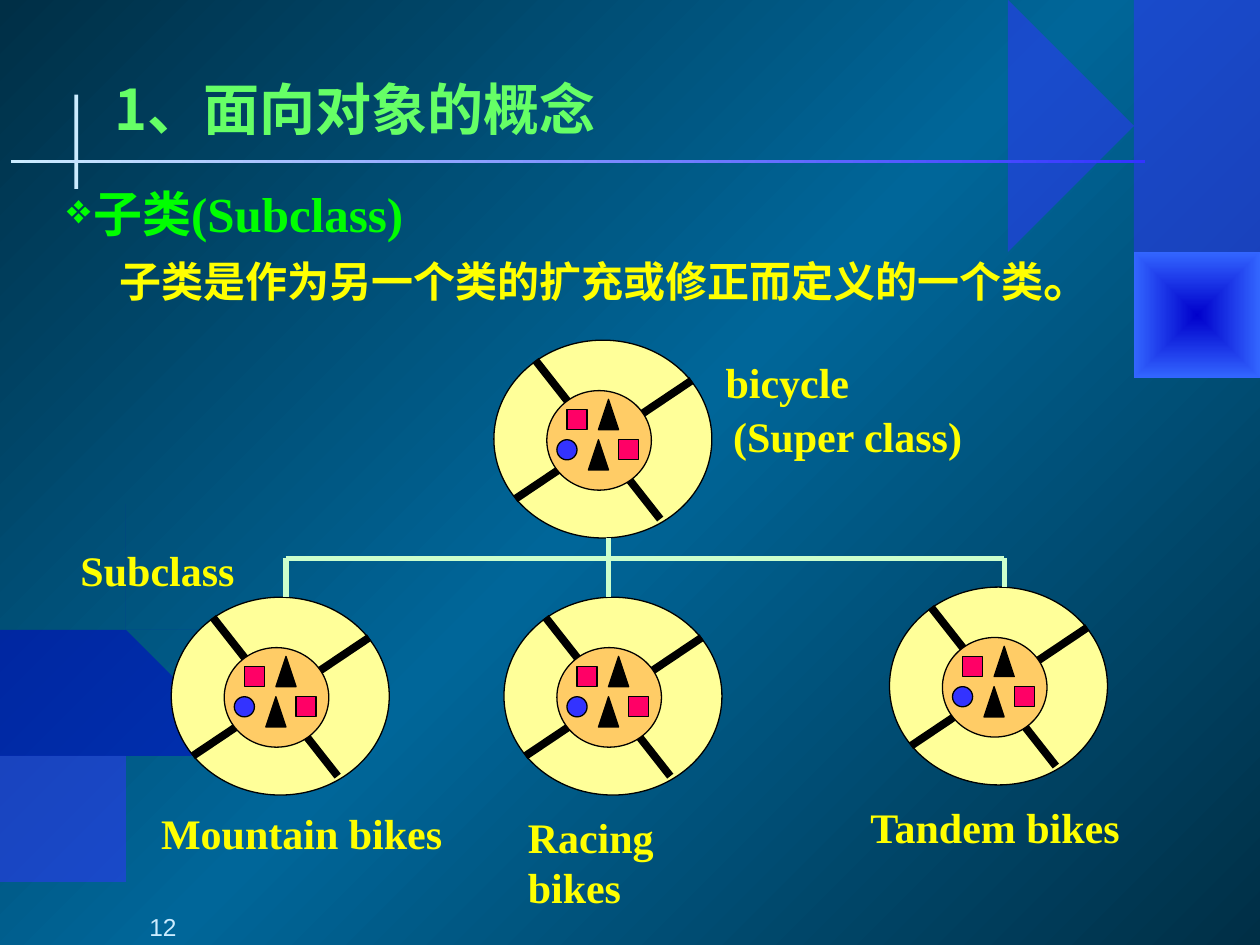
import pptx
import pptx.util
import pptx.oxml
import pptx.oxml.ns
import pptx.dml.color
import pptx.enum.shapes
import pptx.enum.text
from dataclasses import dataclass

Inches = pptx.util.Inches
Pt = pptx.util.Pt
RGB = pptx.dml.color.RGBColor.from_string
qn = pptx.oxml.ns.qn
SHAPE = pptx.enum.shapes.MSO_SHAPE
ALIGN = pptx.enum.text.PP_ALIGN
ANCHOR = pptx.enum.text.MSO_ANCHOR


@dataclass(frozen=True)
class Theme:
    bg_dark: str = "002F46"
    bg_light: str = "006699"
    pale: str = "CCECFF"
    blue: str = "3333FF"
    navy: str = "0000CC"
    sky: str = "3366FF"
    black: str = "000000"
    tire: str = "FFFF99"
    hub: str = "FFCC66"
    pink: str = "FF0066"
    tree: str = "CCFFCC"
    title: str = "66FF66"
    green: str = "00FF00"
    yellow: str = "FFFF00"
    serif: str = "Times New Roman"
    sans: str = "Arial"
    cjk: str = "Noto Sans CJK SC"
    title_size: int = 32
    head_size: int = 28
    text_size: int = 24
    number_size: int = 14


def element(xml):
    tag = xml[1:].split(" ")[0].split("/")[0].split(">")[0]
    return pptx.oxml.parse_xml(xml.replace(tag, f"{tag} {pptx.oxml.ns.nsdecls('a')}", 1))


class Deck:
    def __init__(self, prs, theme):
        self.theme = theme
        self.s = prs.slides.add_slide(prs.slide_layouts[6])

    def gradient(self, fill, owner, stops, direction):
        fill.gradient()
        grad = owner.find(".//" + qn("a:gradFill"))
        for child in list(grad):
            grad.remove(child)
        marks = "".join(f'<a:gs pos="{pos * 1000}"><a:srgbClr val="{color}"/></a:gs>'
                        for pos, color in stops)
        grad.append(element(f"<a:gsLst>{marks}</a:gsLst>"))
        grad.append(element(direction))

    def background(self, stops, direction):
        self.gradient(self.s.background.fill, self.s._element, stops, direction)

    def paint(self, sp, fill, line=None):
        sp.shadow.inherit = False
        if isinstance(fill, tuple):
            self.gradient(sp.fill, sp._element.spPr, *fill)
        else:
            sp.fill.solid()
            sp.fill.fore_color.rgb = RGB(fill)
        if line:
            sp.line.color.rgb = RGB(line)
            sp.line.width = Pt(0.75)
        else:
            sp.line.fill.background()

    def shape(self, kind, x, y, w, h, fill, line=None):
        sp = self.s.shapes.add_shape(kind, *map(Inches, (x, y, w, h)))
        self.paint(sp, fill, line)

    def gear(self, points, fill, alpha=None):
        builder = self.s.shapes.build_freeform(*points[0], scale=Inches(1))
        builder.add_line_segments(points[1:], close=True)
        sp = builder.convert_to_shape()
        self.paint(sp, fill)
        if alpha:
            color = sp._element.spPr.find(qn("a:solidFill"))[0]
            color.append(element(f'<a:alpha val="{alpha * 1000}"/>'))

    def line(self, x1, y1, x2, y2, color, width):
        cx = self.s.shapes.add_connector(pptx.enum.shapes.MSO_CONNECTOR.STRAIGHT,
                                         *map(Inches, (x1, y1, x2, y2)))
        cx.line.color.rgb = RGB(color)
        cx.line.width = Pt(width)
        cx._element.spPr.append(element("<a:effectLst/>"))

    def wheel(self, x, y):
        t = self.theme
        self.shape(SHAPE.OVAL, x, y, 1.73, 1.57, t.tire, t.black)
        for x1, y1, x2, y2 in ((0.17, 1.26, 1.57, 0.32), (0.33, 0.16, 1.32, 1.42)):
            self.line(x + x1, y + y1, x + x2, y + y2, t.black, 4.5)
        self.shape(SHAPE.OVAL, x + 0.42, y + 0.4, 0.83, 0.79, t.hub, t.black)
        for kind, dx, dy, h, fill in (
                (SHAPE.RECTANGLE, 0.58, 0.55, 0.16, t.pink),
                (SHAPE.ISOSCELES_TRIANGLE, 0.75, 0.79, 0.24, t.black),
                (SHAPE.ISOSCELES_TRIANGLE, 0.83, 0.47, 0.24, t.black),
                (SHAPE.RECTANGLE, 0.99, 0.79, 0.16, t.pink),
                (SHAPE.OVAL, 0.5, 0.79, 0.16, t.blue)):
            self.shape(kind, x + dx, y + dy, 0.16, h, fill, t.black)

    def box(self, x, y, w, h, inset=(0.1, 0.05), wrap=True, anchor=ANCHOR.TOP):
        tf = self.s.shapes.add_textbox(*map(Inches, (x, y, w, h))).text_frame
        side, top = map(Inches, inset)
        settings = {"margin_left": side, "margin_right": side, "margin_top": top,
                    "margin_bottom": top, "word_wrap": wrap, "vertical_anchor": anchor}
        for name, value in settings.items():
            setattr(tf, name, value)
        return tf

    def run(self, p, text, size, color, font, bold=True):
        r = p.add_run()
        r.text = text
        for name, value in {"size": Pt(size), "bold": bold, "name": font}.items():
            setattr(r.font, name, value)
        r.font.color.rgb = RGB(color)
        r.font._element.append(element(f'<a:ea typeface="{self.theme.cjk}"/>'))

    def label(self, text, x, y, w):
        t = self.theme
        p = self.box(x, y, w, 0.5, wrap=False).paragraphs[0]
        self.run(p, text, t.text_size, t.yellow, t.serif)

    def indent(self, p, left, first=0):
        pPr = p._p.get_or_add_pPr()
        pPr.set("marL", str(Inches(left)))
        pPr.set("indent", str(Inches(first)))
        return pPr


# Gear outlines, in inches
GEAR_LEFT = [
    (1.05, 4.76), (0.93, 4.73), (0.91, 4.49), (0.77, 4.5), (0.76, 4.73), (0.66, 4.76), (0.52, 4.57),
    (0.43, 4.63), (0.52, 4.84), (0.45, 4.91), (0.24, 4.83), (0.2, 4.92), (0.36, 5.07), (0.33, 5.18),
    (0.11, 5.2), (0.1, 5.33), (0.33, 5.36), (0.35, 5.47), (0.18, 5.63), (0.24, 5.73), (0.43, 5.64),
    (0.5, 5.71), (0.4, 5.9), (0.49, 5.98), (0.66, 5.81), (0.76, 5.85), (0.78, 6.08), (0.92, 6.09),
    (0.94, 5.84), (1.06, 5.81), (1.21, 5.98), (1.3, 5.92), (1.21, 5.71), (1.27, 5.62), (1.46, 5.72),
    (1.52, 5.61), (1.35, 5.47), (1.37, 5.35), (1.59, 5.33), (1.58, 5.21), (1.36, 5.17), (1.34, 5.08),
    (1.52, 4.95), (1.46, 4.84), (1.26, 4.92), (1.2, 4.85), (1.3, 4.65), (1.2, 4.59)]
GEAR_CORNER = [
    (0.9, 6.86), (0.94, 6.72), (1.24, 6.7), (1.23, 6.53), (0.95, 6.51), (0.9, 6.4), (1.15, 6.23),
    (1.08, 6.12), (0.8, 6.22), (0.72, 6.14), (0.82, 5.9), (0.71, 5.84), (0.52, 6.03), (0.37, 5.99),
    (0.36, 5.73), (0.19, 5.72), (0.15, 5.99), (0.01, 6.01), (-0.01, 7.2), (0.15, 7.23), (0.17, 7.49),
    (0.33, 7.49), (0.37, 7.23), (0.49, 7.2), (0.66, 7.42), (0.8, 7.35), (0.69, 7.11), (0.78, 7.03),
    (1.03, 7.16), (1.12, 7.04)]
GEAR_RIGHT = [
    (9.52, 1.84), (9.39, 1.83), (9.37, 1.65), (9.21, 1.67), (9.21, 1.84), (9.1, 1.87), (8.94, 1.74),
    (8.84, 1.79), (8.95, 1.94), (8.88, 2), (8.65, 1.95), (8.6, 2.02), (8.78, 2.12), (8.76, 2.21),
    (8.52, 2.24), (8.52, 2.33), (8.77, 2.34), (8.79, 2.42), (8.62, 2.56), (8.69, 2.63), (8.89, 2.54),
    (8.97, 2.6), (8.87, 2.75), (8.98, 2.8), (9.15, 2.66), (9.26, 2.68), (9.29, 2.86), (9.45, 2.85),
    (9.46, 2.66), (9.59, 2.63), (9.76, 2.75), (9.86, 2.7), (9.74, 2.55), (9.81, 2.48), (10.03, 2.54),
    (10.08, 2.45), (9.89, 2.36), (9.9, 2.27), (10.14, 2.23), (10.13, 2.14), (9.89, 2.13), (9.86, 2.06),
    (10.05, 1.95), (9.98, 1.87), (9.77, 1.95), (9.69, 1.9), (9.8, 1.75), (9.69, 1.7)]
GEAR_TOP = [
    (9.04, 1.63), (9.2, 1.67), (9.22, 1.95), (9.42, 1.93), (9.44, 1.67), (9.57, 1.62), (9.76, 1.85),
    (9.89, 1.78), (9.76, 1.53), (9.85, 1.45), (10, 1.47), (10, 0.53), (9.88, 0.58), (9.78, 0.49),
    (9.91, 0.27), (9.79, 0.17), (9.56, 0.38), (9.43, 0.34), (9.4, 0.06), (9.2, 0.05), (9.18, 0.34),
    (9.01, 0.39), (8.81, 0.18), (8.68, 0.26), (8.81, 0.5), (8.73, 0.61), (8.46, 0.49), (8.38, 0.62),
    (8.62, 0.79), (8.6, 0.93), (8.3, 0.96), (8.3, 1.1), (8.6, 1.14), (8.64, 1.25), (8.39, 1.41),
    (8.47, 1.54), (8.75, 1.44), (8.83, 1.52), (8.7, 1.76), (8.83, 1.83)]


def main():
    prs = pptx.Presentation()
    prs.slide_width, prs.slide_height = Inches(10), Inches(7.5)
    t = Theme()
    deck = Deck(prs, t)

    # Background, gears and title rules
    deck.background([(0, t.bg_dark), (50, t.bg_light), (100, t.bg_dark)],
                    '<a:lin ang="13500000" scaled="0"/>')
    deck.gear(GEAR_LEFT, t.navy, 50)
    deck.gear(GEAR_CORNER, t.blue, 50)
    deck.gear(GEAR_RIGHT, ([(0, t.navy), (100, t.sky)],
                           '<a:path path="rect"><a:fillToRect l="50000" t="50000" '
                           'r="50000" b="50000"/></a:path>'))
    deck.gear(GEAR_TOP, t.blue, 50)
    deck.shape(SHAPE.RECTANGLE, 0.59, 0.75, 0.03, 0.75, t.pale)
    deck.shape(SHAPE.RECTANGLE, 0.09, 1.27, 9, 0.02,
               ([(0, t.blue), (100, t.pale)], '<a:lin ang="10800000" scaled="0"/>'))

    # Class tree: wheels, then branches
    for x, y in ((7.06, 4.66), (4, 4.74), (1.36, 4.74), (3.92, 2.7)):
        deck.wheel(x, y)
    for ends in ((2.27, 4.43, 7.97, 4.43), (4.83, 4.27, 4.83, 4.74),
                 (2.27, 4.43, 2.27, 4.74), (7.97, 4.43, 7.97, 4.66)):
        deck.line(*ends, t.tree, 3)
    for text, x, y, w in (("bicycle", 5.66, 2.78, 1.18), ("(Super class)", 5.72, 3.21, 2.02),
                          ("Mountain bikes", 1.18, 6.36, 2.43), ("Racing bikes", 4.09, 6.39, 2.02),
                          ("Tandem bikes", 6.81, 6.31, 2.21), ("Subclass", 0.54, 4.27, 1.42)):
        deck.label(text, x, y, w)

    # Title
    tf = deck.box(0.87, 0.54, 8.84, 0.63, (0.04, 0.05), anchor=ANCHOR.MIDDLE)
    deck.run(tf.paragraphs[0], "1、面向对象的概念", t.title_size, t.title, t.cjk)

    # Definition
    tf = deck.box(0.49, 1.42, 9.05, 1.06, (0.04, 0.04))
    p = tf.paragraphs[0]
    pPr = deck.indent(p, 0.21, -0.21)
    for xml in (f'<a:buClr><a:srgbClr val="{t.green}"/></a:buClr>',
                '<a:buSzPct val="85000"/>', '<a:buChar char="❖"/>'):
        pPr.append(element(xml))
    deck.run(p, "子类(Subclass)", t.head_size, t.green, t.serif)
    p = tf.add_paragraph()
    deck.indent(p, 0.42)
    p.space_before = Pt(3.5)
    deck.run(p, "子类是作为另一个类的扩充或修正而定义的一个类", t.text_size, t.yellow, t.serif)
    deck.run(p, "。", t.head_size, t.yellow, t.serif)

    # Slide number
    p = deck.box(0, 7.05, 1.5, 0.42, (0.1, 0), anchor=ANCHOR.BOTTOM).paragraphs[0]
    p.alignment = ALIGN.RIGHT
    deck.run(p, "12", t.number_size, t.pale, t.sans, bold=False)

    prs.save("out.pptx")


if __name__ == "__main__":
    main()
